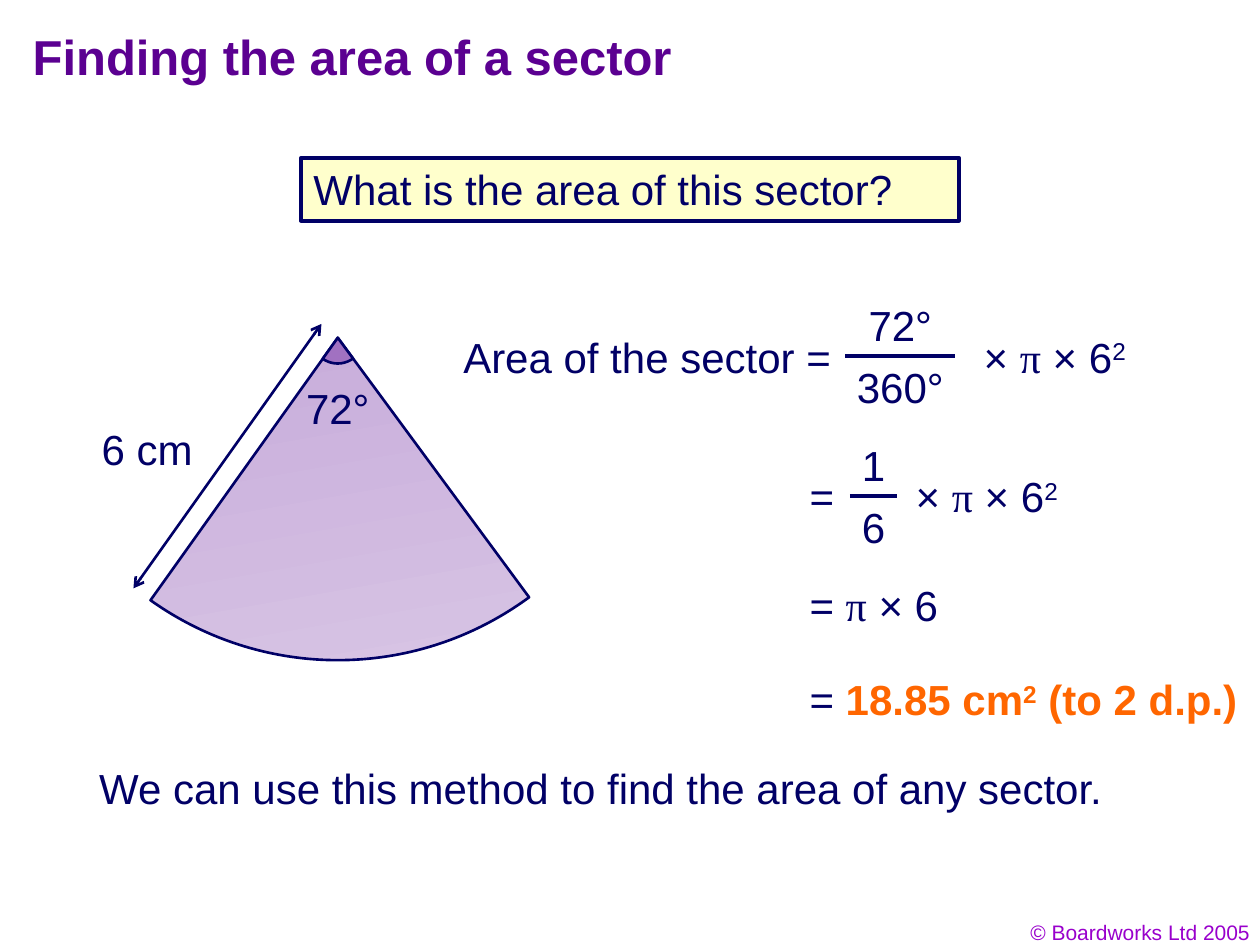
from lxml.etree import SubElement
from pptx import Presentation
from pptx.dml.color import RGBColor
from pptx.enum.shapes import MSO_CONNECTOR, MSO_SHAPE
from pptx.enum.text import MSO_ANCHOR, PP_ALIGN
from pptx.oxml.ns import qn
from pptx.util import Cm, Pt

COLOURS = {
    "title": "5B0091",
    "text": "010066",
    "line": "000066",
    "answer": "FF6600",
    "copyright": "9900CC",
    "question": "FFFFCC",
    "sector_top": "B894D0",
    "sector_bottom": "D8C5E5",
    "angle": "A171C1",
}
ROW_HEIGHT = 1.27
PI = ("π", {"font": "Times New Roman"})
SQUARED = ("2", {"superscript": True})
TIMES_PI_R_SQUARED = ["× ", PI, " × 6", SQUARED]


def colour(name):
    return RGBColor.from_string(COLOURS[name])


def set_line(shape, width):
    shape.line.color.rgb = colour("line")
    shape.line.width = Pt(width)


def add_run(paragraph, text, size, color, bold, font="Arial", superscript=False):
    run = paragraph.add_run()
    run.text = text
    run.font.name = font
    run.font.size = Pt(size)
    run.font.bold = bold
    run.font.color.rgb = colour(color)
    if superscript:
        run._r.get_or_add_rPr().set("baseline", "30000")


def write_text(shape, content, size=24, color="text", bold=False,
               align=PP_ALIGN.LEFT, wrap=False):
    """Fill a shape with a string, or a list of strings and (string, format) pairs."""
    frame = shape.text_frame
    frame.word_wrap = wrap
    frame.vertical_anchor = MSO_ANCHOR.TOP
    paragraph = frame.paragraphs[0]
    paragraph.alignment = align
    for part in [content] if isinstance(content, str) else content:
        text, changes = (part, {}) if isinstance(part, str) else part
        add_run(paragraph, text, **{"size": size, "color": color, "bold": bold, **changes})


def add_text(slide, content, left, top, width, height=ROW_HEIGHT, **text_format):
    box = slide.shapes.add_textbox(Cm(left), Cm(top), Cm(width), Cm(height))
    write_text(box, content, **text_format)


def add_line(slide, start, end, width, arrows=False):
    line = slide.shapes.add_connector(
        MSO_CONNECTOR.STRAIGHT, *(Cm(value) for value in (*start, *end)))
    set_line(line, width)
    if arrows:
        for tag in ("a:headEnd", "a:tailEnd"):
            SubElement(line.line._get_or_add_ln(), qn(tag), type="arrow")
    SubElement(line._element.spPr, qn("a:effectLst"))


def add_sector(slide, radius):
    """Draw a sector about the common apex, opening downwards."""
    apex_x, apex_y, start, end = 6.81, 6.81, 53.6, 125.5
    sector = slide.shapes.add_shape(
        MSO_SHAPE.PIE, Cm(apex_x - radius), Cm(apex_y - radius),
        Cm(2 * radius), Cm(2 * radius))
    for index, degrees in enumerate((start, end)):
        sector.adjustments[index] = degrees * 0.6
    sector.shadow.inherit = False
    set_line(sector, 1.5)
    return sector


def add_fraction(slide, numerator, denominator, centre, row_top, bar_width):
    text_width = bar_width + 0.4
    text_left = centre - text_width / 2
    for text, offset in ((numerator, -0.63), (denominator, 0.61)):
        add_text(slide, text, text_left, row_top + offset, text_width,
                 align=PP_ALIGN.CENTER)
    bar_left, bar_top = centre - bar_width / 2, row_top + 0.63
    add_line(slide, (bar_left, bar_top), (bar_left + bar_width, bar_top), 2.25)


def add_diagram(slide):
    fill = add_sector(slide, 6.5).fill
    fill.gradient()
    fill.gradient_angle = 280
    for stop, name in zip(fill.gradient_stops, ("sector_top", "sector_bottom")):
        stop.color.rgb = colour(name)
    angle = add_sector(slide, 0.52)
    angle.fill.solid()
    angle.fill.fore_color.rgb = colour("angle")
    add_line(slide, (6.48, 6.53), (2.69, 11.86), 1.5, arrows=True)
    add_text(slide, "72°", 5.92, 7.59, 1.78)
    add_text(slide, "6 cm", 1.8, 8.41, 2.34)


def add_question(slide):
    box = slide.shapes.add_shape(
        MSO_SHAPE.RECTANGLE, Cm(6.07), Cm(3.18), Cm(13.26), Cm(ROW_HEIGHT))
    box.shadow.inherit = False
    box.fill.solid()
    box.fill.fore_color.rgb = colour("question")
    set_line(box, 2.25)
    write_text(box, "What is the area of this sector?", wrap=True)


def add_working(slide):
    equals_left = 16.07
    add_text(slide, "Area of the sector =", 9.09, 6.55, 7.92)
    add_fraction(slide, "72°", "360°", 18.15, 6.55, 2.21)
    add_text(slide, TIMES_PI_R_SQUARED, 19.58, 6.55, 3.38)

    add_text(slide, "=", equals_left, 9.37, 1)
    add_fraction(slide, "1", "6", 17.61, 9.37, 0.95)
    add_text(slide, TIMES_PI_R_SQUARED, 18.21, 9.37, 3.38)

    add_text(slide, ["= ", PI, " × 6"], equals_left, 11.56, 3.33)

    answer = {"color": "answer", "bold": True}
    add_text(slide, ["= ", ("18.85 cm", answer), ("2", {**answer, "superscript": True}),
                     (" (to 2 d.p.)", answer)], equals_left, 13.46, 9.37)


def main():
    presentation = Presentation()
    presentation.slide_width = Cm(25.4)
    presentation.slide_height = Cm(19.05)
    slide = presentation.slides.add_slide(presentation.slide_layouts[6])
    add_text(slide, "Finding the area of a sector", 0.41, 0.41, 21.69, 1.75,
             size=28, color="title", bold=True, wrap=True)
    add_question(slide)
    add_diagram(slide)
    add_working(slide)
    add_text(slide, "We can use this method to find the area of any sector.",
             1.75, 15.24, 20.9, wrap=True)
    add_text(slide, "© Boardworks Ltd 2005", 19.53, 18.42, 5.92, 0.76,
             size=12, color="copyright", align=PP_ALIGN.RIGHT, wrap=True)
    presentation.save("out.pptx")


if __name__ == "__main__":
    main()
